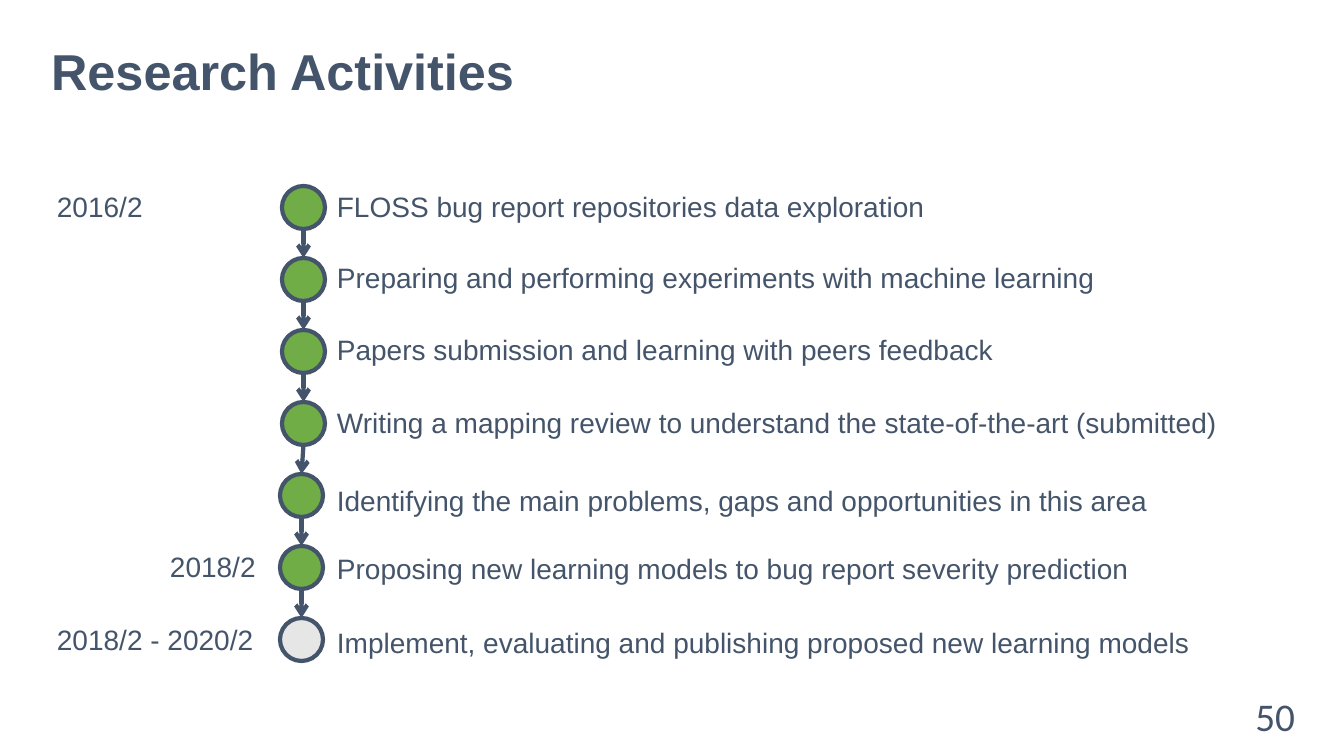
from pptx import Presentation
from pptx import util as u
from pptx.dml.color import RGBColor
from pptx.enum import shapes, text
from pptx.oxml.ns import qn
from lxml import etree

TITLE = "Research Activities"
PAGE_NUMBER = "50"
ACTIVITIES = [
    ("FLOSS bug report repositories data exploration", 185, 282, "done"),
    ("Preparing and performing experiments with machine learning", 256, 282, "done"),
    ("Papers submission and learning with peers feedback", 328, 282, "done"),
    ("Writing a mapping review to understand the state-of-the-art (submitted)", 401, 282, "done"),
    ("Identifying the main problems, gaps and opportunities in this area", 479, 280, "done"),
    ("Proposing new learning models to bug report severity prediction", 547, 280, "done"),
    ("Implement, evaluating and publishing proposed new learning models", 621, 280, "planned"),
]
DATES = [
    ("2016/2", 47, 185, 108),
    ("2018/2", 160, 545, 108),
    ("2018/2 - 2020/2", 47, 618, 231),
]
COLORS = {"ink": "44546A", "done": "70AD47", "planned": "E7E6E6"}

SCALE = 12192000 / 1344
CIRCLE_TOP, CIRCLE_PITCH, CIRCLE_SIZE = 186, 72, 43
LABEL_LEFT, LABEL_WIDTH, LABEL_HEIGHT = 327, 960, 44


def px(*lengths):
    return [u.Emu(round(length * SCALE)) for length in lengths]


def color(name):
    return RGBColor.from_string(COLORS[name])


def write(shape, content, size, font="Arial", bold=False,
          align=text.PP_ALIGN.LEFT, anchor=text.MSO_ANCHOR.TOP):
    frame = shape.text_frame
    frame.text = content
    frame.word_wrap = True
    frame.auto_size = text.MSO_AUTO_SIZE.NONE
    frame.vertical_anchor = anchor
    paragraph = frame.paragraphs[0]
    paragraph.alignment = align
    run_font = paragraph.runs[0].font
    run_font.name, run_font.size, run_font.bold = font, u.Pt(size), bold
    run_font.color.rgb = color("ink")
    return paragraph


def outline(shape):
    shape.line.color.rgb = color("ink")
    shape.line.width = u.Pt(3)


def add_arrow(slide, *ends):
    arrow = slide.shapes.add_connector(shapes.MSO_CONNECTOR.STRAIGHT, *px(*ends))
    outline(arrow)
    etree.SubElement(arrow.line._get_or_add_ln(), qn("a:tailEnd"), type="arrow")
    etree.SubElement(arrow._element.spPr, qn("a:effectLst"))


def main():
    presentation = Presentation()
    presentation.slide_width, presentation.slide_height = px(1344, 756)
    slide = presentation.slides.add_slide(presentation.slide_layouts[5])

    title = slide.shapes.title
    title.left, title.top, title.width, title.height = px(41, 40, 1211, 68)
    heading = write(title, TITLE, 36, bold=True, anchor=text.MSO_ANCHOR.MIDDLE)
    heading.line_spacing = 0.9

    centers = []
    for index, (activity, label_top, left, status) in enumerate(ACTIVITIES):
        top = CIRCLE_TOP + index * CIRCLE_PITCH
        circle = slide.shapes.add_shape(
            shapes.MSO_SHAPE.OVAL, *px(left, top, CIRCLE_SIZE, CIRCLE_SIZE))
        circle.shadow.inherit = False
        circle.fill.solid()
        circle.fill.fore_color.rgb = color(status)
        outline(circle)
        centers.append((left + CIRCLE_SIZE / 2, top))
        label = slide.shapes.add_textbox(
            *px(LABEL_LEFT, label_top, LABEL_WIDTH, LABEL_HEIGHT))
        write(label, activity, 20)

    for (start_x, start_top), (end_x, end_top) in zip(centers, centers[1:]):
        add_arrow(slide, start_x, start_top + CIRCLE_SIZE, end_x, end_top)

    for date, left, top, width in DATES:
        write(slide.shapes.add_textbox(*px(left, top, width, LABEL_HEIGHT)), date, 20)

    number = slide.shapes.add_textbox(*px(1200, 696, 105, 40))
    write(number, PAGE_NUMBER, 28, font="Calibri",
          align=text.PP_ALIGN.RIGHT, anchor=text.MSO_ANCHOR.MIDDLE)

    presentation.save("out.pptx")


if __name__ == "__main__":
    main()
